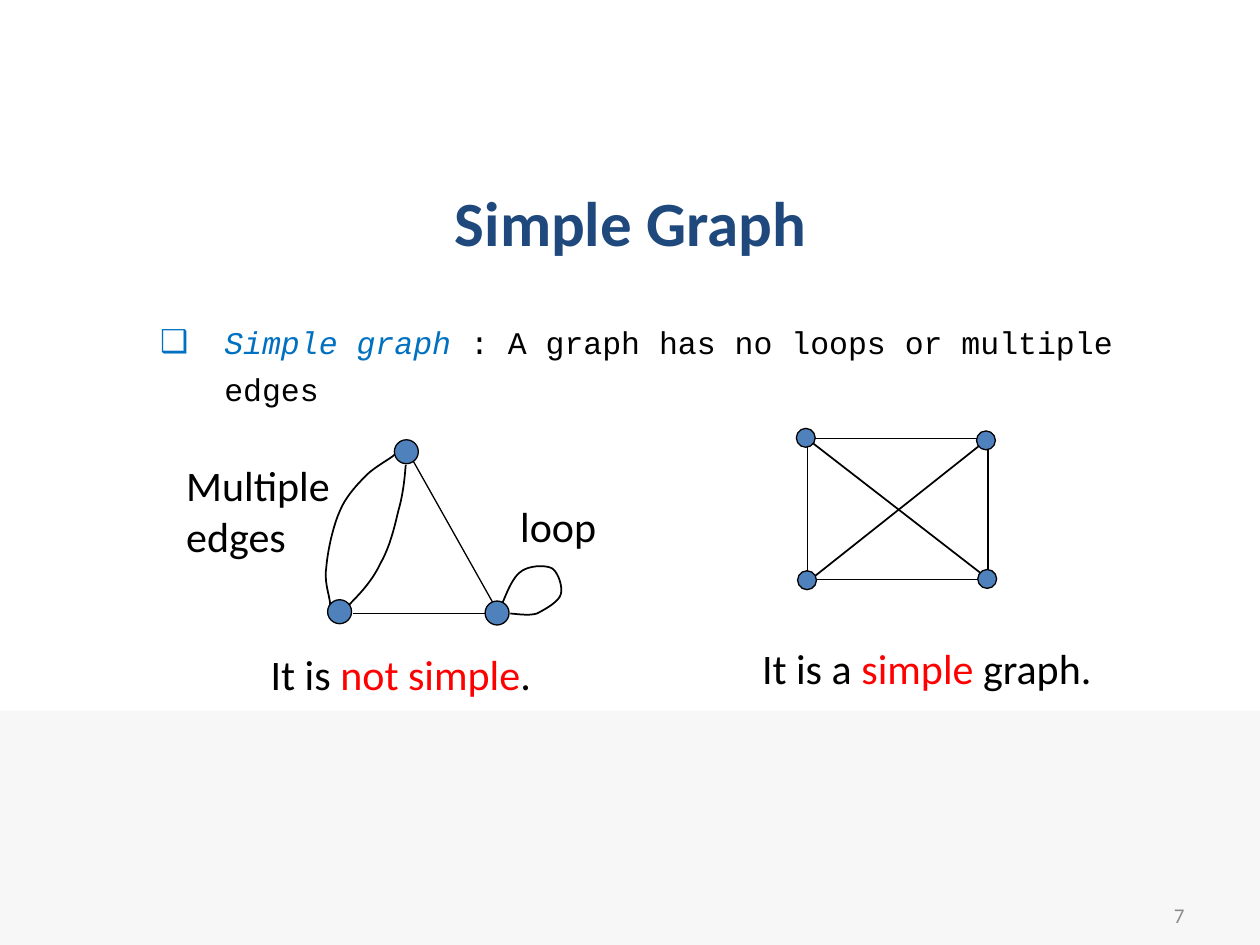
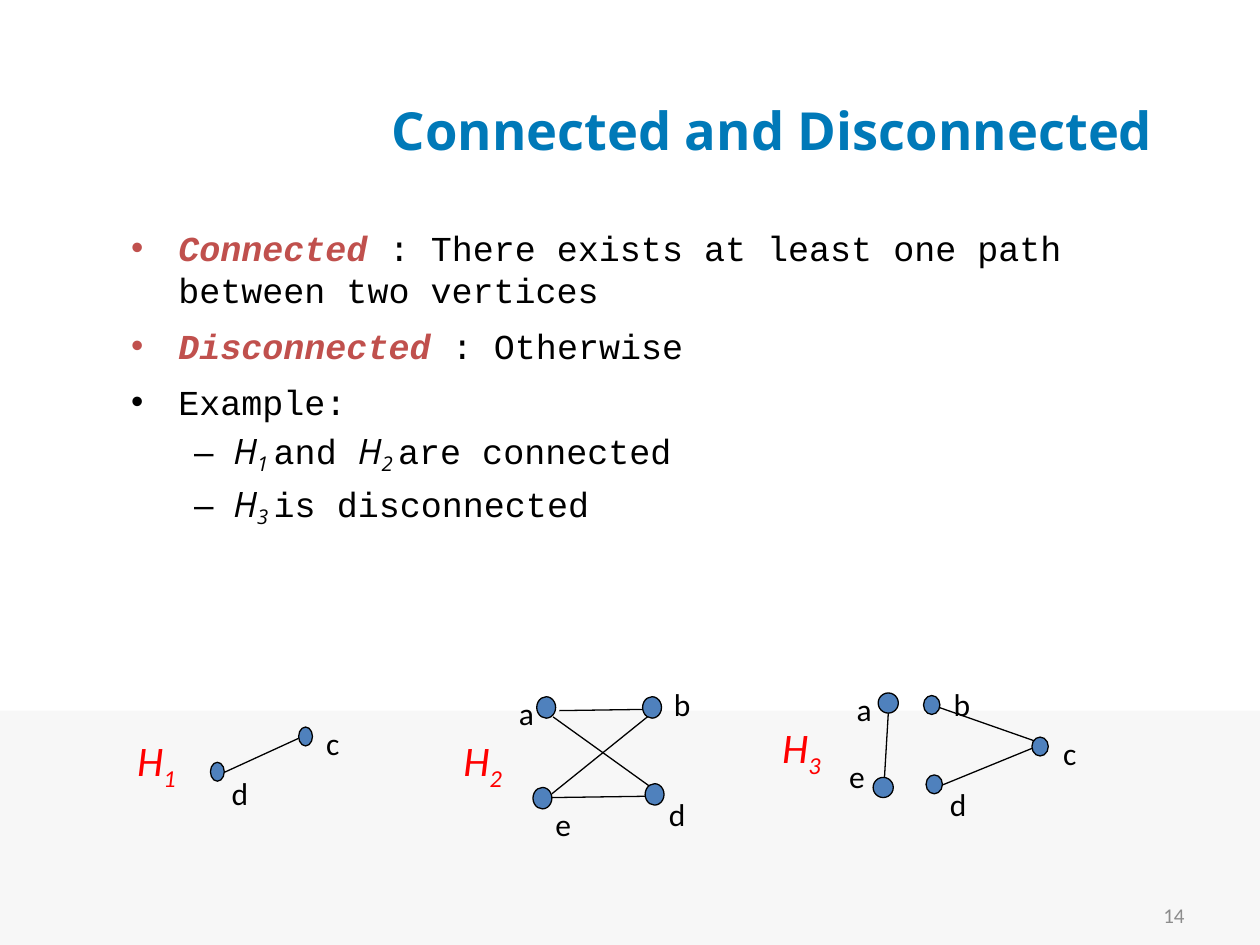
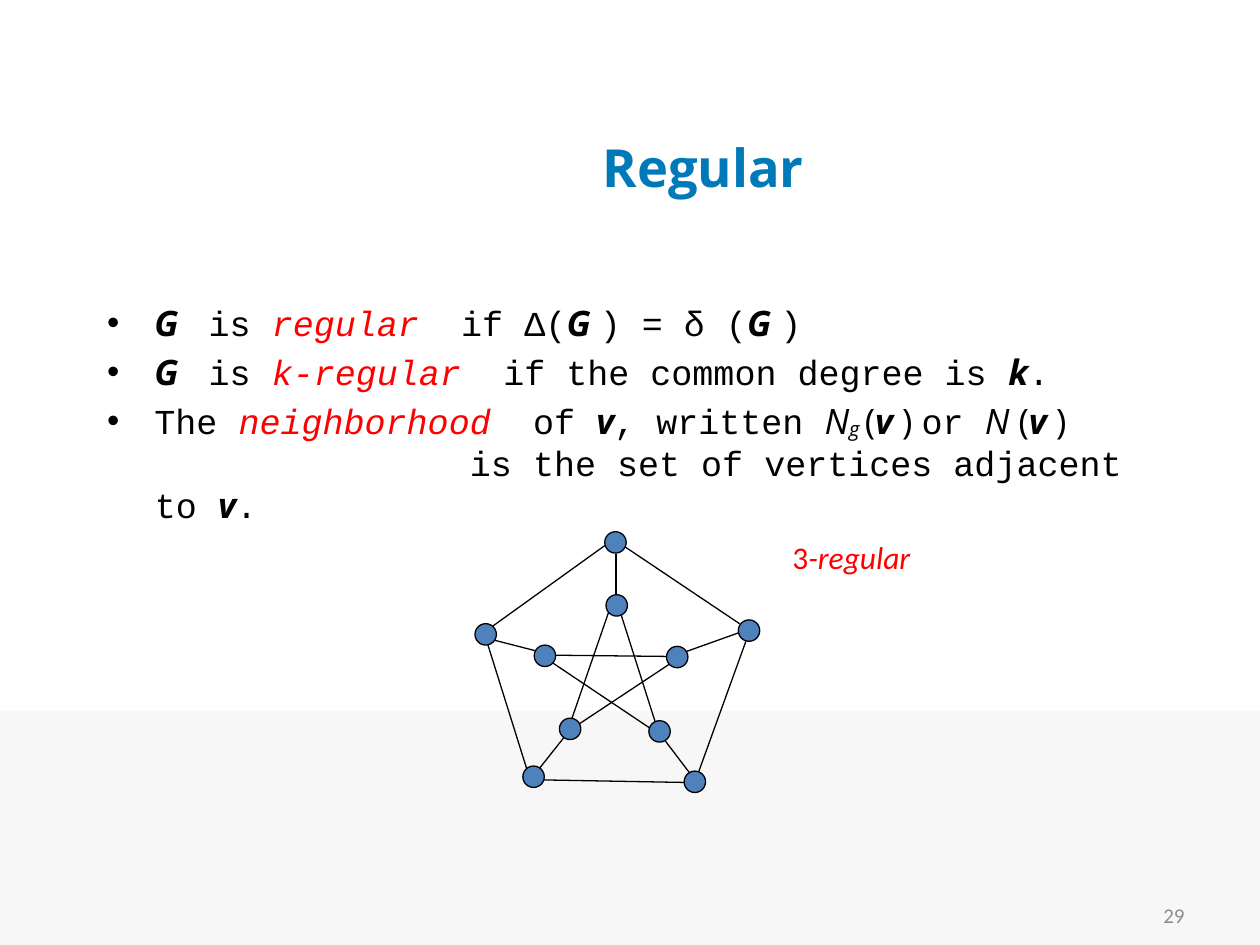
from pptx import Presentation
from pptx.dml.color import RGBColor
from pptx.enum.shapes import MSO_CONNECTOR, MSO_SHAPE
from pptx.enum.text import MSO_ANCHOR, MSO_AUTO_SIZE, PP_ALIGN
from pptx.util import Inches, Pt
from lxml import etree

INK = {"black": "000000", "red": "FF0000", "rose": "C0504D", "sky": "0070C0",
       "navy": "1F497D", "blue": "0079B8", "dot": "4F81BD", "grey": "8C8C8C",
       "band": "F7F7F7"}
CAL, COU, OPEN = "Calibri", "Courier New", "Open Sans"
NS = "{http://schemas.openxmlformats.org/drawingml/2006/main}"


def write(para, size, runs):
    """Each run: text, font, colour, marks (b, i), baseline in percent."""
    for text, font, ink, marks, base in runs:
        run = para.add_run()
        run.text = text
        run.font.name = font
        run.font.size = Pt(size)
        run.font.bold = "b" in marks
        run.font.italic = "i" in marks
        run.font.color.rgb = RGBColor.from_string(INK[ink])
        if base:
            run.font._element.set("baseline", str(base * 1000))


def paint(shape, fill, line):
    shape.shadow.inherit = False
    if fill:
        shape.fill.solid()
        shape.fill.fore_color.rgb = RGBColor.from_string(INK[fill])
    else:
        shape.fill.background()
    if line:
        shape.line.color.rgb = RGBColor.from_string(INK["black"])
        shape.line.width = Pt(line)
    else:
        shape.line.fill.background()


# Runs that come back
bold_g = ("G ", OPEN, "black", "bi", 0)
bold_v = ("v", OPEN, "black", "bi", 0)
thin_v = ("v ", OPEN, "black", "bi", 0)
left = ("(", OPEN, "black", "", 0)
slant_h = ("H", OPEN, "black", "i", 0)
is_run = (" is ", COU, "black", "", 0)
dot_run = (".", COU, "black", "", 0)

# Slide 1: labels hold place, size and paragraphs
simple = {
    "page": "7",
    "title": ((0.52, 1.24, 8.97, 1.03), PP_ALIGN.CENTER, 36,
              ("Simple Graph", CAL, "navy", "b", 0)),
    "body": ((1.17, 2.44, 8.39, 0.84), 18, [
        (0, 0, [("Simple graph ", COU, "sky", "i", 0),
                (": A graph has no loops or multiple edges", COU, "black", "", 0)])]),
    "labels": [
        ((4.03, 3.92, 0.89, 0.5), 24, [[("loop", CAL, "black", "", 0)]]),
        ((1.38, 3.6, 1.43, 0.94), 24, [[("Multiple", CAL, "black", "", 0)],
                                       [("edges", CAL, "black", "", 0)]]),
        ((2.05, 5.1, 2.43, 0.51), 24, [[("It is ", CAL, "black", "", 0),
                                        ("not simple", CAL, "red", "", 0),
                                        (".", CAL, "black", "", 0)]]),
        ((5.95, 5.05, 2.96, 0.51), 24, [[("It is a ", CAL, "black", "", 0),
                                         ("simple", CAL, "red", "", 0),
                                         (" graph.", CAL, "black", "", 0)]])],
    "edges": [(1, [(6.42, 4.61, 7.82, 3.5), (6.39, 3.47, 7.85, 4.6),
                   (2.8, 4.87, 3.86, 4.87)]),
              (0.75, [(3.28, 3.66, 3.91, 4.78)])],
    "dots": [(0.15, 0.15, [(7.75, 3.42), (6.32, 3.4), (7.76, 4.52), (6.33, 4.53)]),
             (0.19, 0.19, [(3.13, 3.49), (2.6, 4.76), (3.85, 4.77)])],
}

# Slide 2
linked = {
    "page": "14",
    "title": ((0.75, 0.53, 8.5, 0.99), PP_ALIGN.RIGHT, 30,
              ("Connected and Disconnected", OPEN, "blue", "b", 0)),
    "body": ((0.94, 1.75, 8.31, 5.09), 20, [
        (0, 0, [("Connected ", COU, "rose", "bi", 0),
                (": There exists at least one path between two vertices",
                 COU, "black", "", 0)]),
        (0, 8, [("Disconnected ", COU, "rose", "bi", 0),
                (": Otherwise", COU, "black", "", 0)]),
        (0, 8, [("Example:", COU, "black", "", 0)]),
        (1, 4, [slant_h, ("1 ", OPEN, "black", "i", -20),
                ("and ", COU, "black", "", 0),
                slant_h, ("2 ", OPEN, "black", "i", -20),
                ("are connected", COU, "black", "", 0)]),
        (1, 4, [slant_h, ("3 ", OPEN, "black", "i", -20),
                ("is disconnected", COU, "black", "", 0)])]),
    "labels": [],
    "edges": [(0.75, [
        (1.78, 6.13, 2.37, 5.86),
        (4.38, 6.33, 5.12, 6.32), (4.44, 5.64, 5.13, 5.63),
        (4.38, 6.3, 5.15, 5.68), (4.39, 5.69, 5.17, 6.25),
        (7.05, 5.66, 7.02, 6.17),
        (7.48, 6.23, 8.19, 5.94), (7.44, 5.61, 8.21, 5.88)])],
    "dots": [(0.11, 0.15, [(1.67, 6.05), (2.37, 5.77)]),
             (0.15, 0.17, [(4.26, 5.53), (4.23, 6.25), (5.1, 5.53), (5.12, 6.22)]),
             (0.16, 0.16, [(6.97, 5.5), (6.93, 6.17)]),
             (0.13, 0.15, [(7.33, 5.52), (7.35, 6.15), (8.19, 5.85)])],
}
for name, x, y in [("c", 2.49, 5.7), ("d", 1.74, 6.09), ("a", 4.02, 5.46),
                   ("b", 5.25, 5.39), ("d", 5.21, 6.26), ("e", 4.31, 6.34),
                   ("a", 6.7, 5.43), ("b", 7.47, 5.39), ("c", 8.34, 5.78),
                   ("d", 7.44, 6.18), ("e", 6.64, 5.96)]:
    linked["labels"].append(((x, y, 0.4, 0.4), 18, [[(name, CAL, "black", "", 0)]]))
for num, x, y in [("1", 0.99, 5.78), ("2", 3.58, 5.78), ("3", 6.11, 5.68)]:
    linked["labels"].append(((x, y, 1.01, 0.51), 24, [
        [("H", CAL, "red", "i", 0), (num, CAL, "red", "i", -25)]]))

# Slide 3
even = {
    "page": "29",
    "title": ((1.77, 0.7, 7.73, 1.25), PP_ALIGN.CENTER, 30,
              ("Regular ", OPEN, "blue", "b", 0)),
    "body": ((0.75, 2.34, 8.58, 1.9), 20, [
        (0, 0, [bold_g, is_run, ("regular", COU, "red", "i", 0),
                ("  if Δ(", COU, "black", "", 0), bold_g,
                (") = δ (", COU, "black", "", 0), bold_g,
                (")", COU, "black", "", 0)]),
        (0, 4, [bold_g, is_run, ("k-regular", COU, "red", "i", 0),
                ("  if the common degree is ", COU, "black", "", 0),
                ("k", OPEN, "black", "bi", 0), dot_run]),
        (0, 4, [("The ", COU, "black", "", 0),
                ("neighborhood  ", COU, "red", "i", 0),
                ("of ", COU, "black", "", 0), bold_v,
                (", written ", COU, "black", "", 0),
                ("N", OPEN, "black", "i", 0), ("g ", OPEN, "black", "i", -6),
                left, thin_v, (") ", OPEN, "black", "", 0),
                ("or ", COU, "black", "", 0), ("N ", OPEN, "black", "i", 0),
                left, thin_v, (")", OPEN, "black", "", 0)]),
        (0, 0, [("is the set of vertices adjacent to ", COU, "black", "", 0),
                bold_v, dot_run])]),
    "labels": [((6.19, 4.22, 1.95, 0.39), 18, [
        [("3", CAL, "red", "", 0), ("-regular", CAL, "red", "i", 0)]])],
    "edges": [(0.75, [
        # star
        (5.2, 5.73, 4.93, 4.88), (4.83, 4.86, 4.54, 5.7), (4.4, 5.2, 5.3, 5.21),
        (5.33, 5.26, 4.59, 5.75), (4.37, 5.25, 5.16, 5.78),
        # spokes
        (4.89, 4.4, 4.89, 4.74), (3.92, 5.08, 4.27, 5.17), (4.28, 6.1, 4.51, 5.81),
        (5.47, 6.13, 5.28, 5.88), (5.45, 5.17, 5.87, 5.02),
        # rim
        (4.8, 4.33, 3.91, 4.97), (3.87, 5.11, 4.18, 6.1), (4.31, 6.19, 5.43, 6.21),
        (5.92, 5.09, 5.54, 6.14), (4.96, 4.34, 5.87, 4.95)])],
    "dots": [(0.17, 0.17, [
        (4.8, 4.22), (3.77, 4.95), (5.86, 4.92), (5.43, 6.12), (4.15, 6.08),
        (5.15, 5.72), (4.44, 5.7), (4.24, 5.12), (4.81, 4.72), (5.29, 5.13)])],
}

prs = Presentation()
prs.slide_width, prs.slide_height = Inches(10), Inches(7.5)

for data in (simple, linked, even):
    slide = prs.slides.add_slide(prs.slide_layouts[1])
    shapes = slide.shapes

    # Band: made once, then kept on the master
    if data is simple:
        band = shapes.add_shape(MSO_SHAPE.RECTANGLE, 0, Inches(5.64),
                                Inches(10), Inches(1.86))
        paint(band, "band", None)
        prs.slide_master.shapes.element.insert(2, band.element)

    # Title
    place, align, size, run = data["title"]
    title = shapes.title
    title.left, title.top, title.width, title.height = map(Inches, place)
    title.text_frame.auto_size = MSO_AUTO_SIZE.NONE
    title.text_frame.vertical_anchor = MSO_ANCHOR.MIDDLE
    title.text_frame.paragraphs[0].alignment = align
    write(title.text_frame.paragraphs[0], size, [run])

    # Body list
    place, size, paras = data["body"]
    body = slide.placeholders[1]
    body.left, body.top, body.width, body.height = map(Inches, place)
    frame = body.text_frame
    frame.auto_size = MSO_AUTO_SIZE.NONE
    for n, (level, gap, runs) in enumerate(paras):
        para = frame.add_paragraph() if n else frame.paragraphs[0]
        para.level = level
        para.space_before = Pt(gap)
        write(para, size, runs)

    # Edges
    for width, ends in data["edges"]:
        for end in ends:
            edge = shapes.add_connector(MSO_CONNECTOR.STRAIGHT, *map(Inches, end))
            edge.line.color.rgb = RGBColor.from_string(INK["black"])
            edge.line.width = Pt(width)
            etree.SubElement(edge.element.spPr, NS + "effectLst")

    # Square and curves of the first slide
    if data is simple:
        square = shapes.add_shape(MSO_SHAPE.RECTANGLE, Inches(6.41), Inches(3.48),
                                  Inches(1.43), Inches(1.12))
        paint(square, None, 1)
        for curve in [
            [(3.13, 3.61), (3.1, 3.64), (3, 3.69), (2.92, 3.76), (2.85, 3.83),
             (2.75, 3.93), (2.7, 4.05), (2.64, 4.18), (2.6, 4.38), (2.59, 4.5),
             (2.57, 4.63), (2.62, 4.73), (2.62, 4.8)],
            [(3.22, 3.69), (3.21, 3.81), (3.2, 3.92), (3.16, 4.06), (3.13, 4.19),
             (3.09, 4.35), (3.02, 4.47), (2.96, 4.6), (2.87, 4.7), (2.77, 4.8)],
            [(3.99, 4.78), (4.01, 4.74), (4.06, 4.59), (4.13, 4.54), (4.19, 4.49),
             (4.32, 4.48), (4.38, 4.51), (4.43, 4.54), (4.47, 4.66), (4.45, 4.72),
             (4.43, 4.78), (4.32, 4.84), (4.26, 4.87), (4.19, 4.89), (4.09, 4.87),
             (4.05, 4.87)],
        ]:
            points = []
            for k in range(0, len(curve) - 1, 3):
                for step in range(1, 11):
                    t = step / 10
                    mix = ((1 - t) ** 3, 3 * t * (1 - t) ** 2,
                           3 * t * t * (1 - t), t ** 3)
                    points.append([Inches(sum(m * p[axis] for m, p in
                                              zip(mix, curve[k:k + 4])))
                                   for axis in (0, 1)])
            pen = shapes.build_freeform(*map(Inches, curve[0]))
            pen.add_line_segments(points, close=False)
            paint(pen.convert_to_shape(), None, 1)

    # Dots
    for wide, high, spots in data["dots"]:
        for x, y in spots:
            dot = shapes.add_shape(MSO_SHAPE.OVAL, *map(Inches, (x, y, wide, high)))
            paint(dot, "dot", 0.75)

    # Labels and page number
    page = ((7.17, 7.06, 2.33, 0.4), 12, [[(data["page"], CAL, "grey", "", 0)]])
    for place, size, paras in data["labels"] + [page]:
        frame = shapes.add_textbox(*map(Inches, place)).text_frame
        frame.word_wrap = True
        for n, runs in enumerate(paras):
            para = frame.add_paragraph() if n else frame.paragraphs[0]
            write(para, size, runs)
    frame.vertical_anchor = MSO_ANCHOR.MIDDLE
    para.alignment = PP_ALIGN.RIGHT

# Box bullet on the first slide
para = prs.slides[0].placeholders[1].text_frame.paragraphs[0]
para.line_spacing = 1.25
props = para._p.get_or_add_pPr()
props.set("marL", str(Inches(0.51)))
props.set("indent", str(-Inches(0.51)))
etree.SubElement(props, NS + "buChar").set("char", "❑")

# Deep first line without a bullet on the last slide
para = prs.slides[2].placeholders[1].text_frame.paragraphs[3]
props = para._p.get_or_add_pPr()
props.set("marL", str(Inches(0.38)))
props.set("indent", str(Inches(2.5)))
etree.SubElement(props, NS + "buNone")

prs.save("out.pptx")
